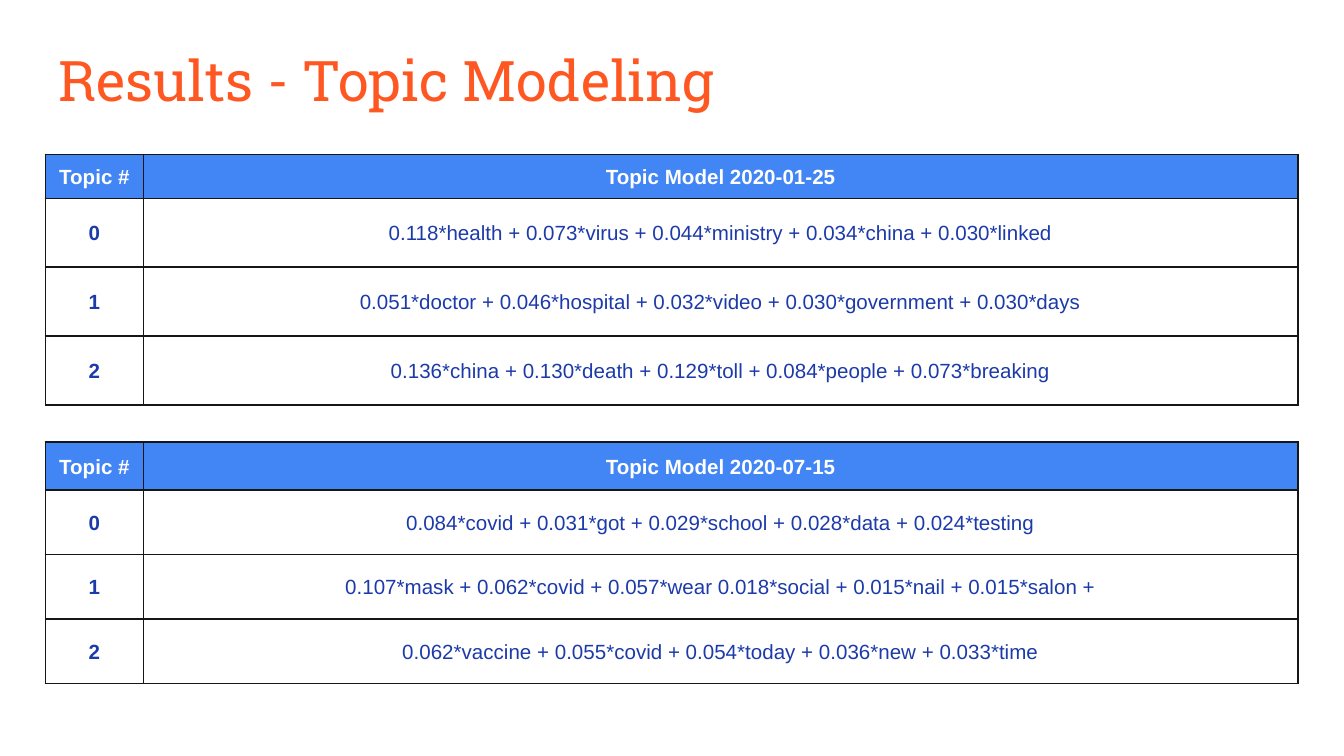
from dataclasses import dataclass

from lxml.etree import SubElement
from pptx import Presentation
from pptx.dml.color import RGBColor
from pptx.enum.text import MSO_ANCHOR as Anchor, PP_ALIGN as Align
from pptx.oxml.ns import qn
from pptx.util import Cm, Pt

ORANGE, BLUE, NAVY = "FF5722", "4285F4", "1C3AA9"
WHITE, BLACK = "FFFFFF", "161616"
LEFT, COLUMNS = 0.86, (1.85, 21.82)
WIDTH = sum(COLUMNS)


@dataclass
class TopicTable:
    date: str
    top: float
    header_height: float
    row_height: float
    topics: tuple[str, ...]


TABLES = (
    TopicTable("2020-01-25", 2.92, 0.83, 1.3, (
        "0.118*health + 0.073*virus + 0.044*ministry + 0.034*china + 0.030*linked",
        "0.051*doctor + 0.046*hospital + 0.032*video + 0.030*government + 0.030*days",
        "0.136*china + 0.130*death + 0.129*toll + 0.084*people + 0.073*breaking",
    )),
    TopicTable("2020-07-15", 8.36, 0.9, 1.22, (
        "0.084*covid + 0.031*got + 0.029*school + 0.028*data + 0.024*testing",
        "0.107*mask + 0.062*covid + 0.057*wear 0.018*social + 0.015*nail + 0.015*salon +",
        "0.062*vaccine + 0.055*covid + 0.054*today + 0.036*new + 0.033*time",
    )),
)


def paint(target, color: str) -> None:
    target.solid()
    target.fore_color.rgb = RGBColor.from_string(color)


def add_run(p, text: str, size: float, font: str, color: str, bold: bool = False) -> None:
    r = p.add_run()
    r.text = text
    r.font.size = Pt(size)
    r.font.name = font
    r.font.bold = bold
    paint(r.font.fill, color)


def add_borders(cell) -> None:
    props = cell._tc.get_or_add_tcPr()
    for side in ("lnL", "lnR", "lnT", "lnB"):
        line = SubElement(props, qn(f"a:{side}"), w=str(Pt(1)))
        fill = SubElement(line, qn("a:solidFill"))
        SubElement(fill, qn("a:srgbClr"), val=BLACK)


def fill_cell(cell, text: str, color: str, bold: bool, background: str) -> None:
    add_borders(cell)
    paint(cell.fill, background)
    cell.vertical_anchor = Anchor.MIDDLE
    cell.margin_left = cell.margin_right = Cm(0.18)
    cell.margin_top = cell.margin_bottom = 0
    p = cell.text_frame.paragraphs[0]
    p.alignment = Align.CENTER
    p.line_spacing = 1.07
    add_run(p, text, 11, "Arial", color, bold)


def add_topic_table(s, spec: TopicTable) -> None:
    rows = [("Topic #", f"Topic Model {spec.date}")]
    rows += [(str(number), words) for number, words in enumerate(spec.topics)]
    heights = [spec.header_height] + [spec.row_height] * len(spec.topics)
    table = s.shapes.add_table(len(rows), len(COLUMNS), Cm(LEFT), Cm(spec.top),
                               Cm(WIDTH), Cm(sum(heights))).table
    for column, width in zip(table.columns, COLUMNS):
        column.width = Cm(width)
    for i, (row, height) in enumerate(zip(rows, heights)):
        table.rows[i].height = Cm(height)
        header = i == 0
        for j, text in enumerate(row):
            fill_cell(table.cell(i, j), text, WHITE if header else NAVY,
                      header or j == 0, BLUE if header else WHITE)


def add_title(s, text: str) -> None:
    sp = s.shapes.add_textbox(Cm(LEFT), Cm(0.61), Cm(WIDTH), Cm(1.6))
    tf = sp.text_frame
    tf.word_wrap = True
    tf.margin_left = tf.margin_right = tf.margin_top = tf.margin_bottom = Cm(0.25)
    add_run(tf.paragraphs[0], text, 30, "Roboto Slab", ORANGE)


def main() -> None:
    prs = Presentation()
    prs.slide_width, prs.slide_height = Cm(25.4), Cm(14.29)
    s = prs.slides.add_slide(prs.slide_layouts[6])
    paint(s.background.fill, WHITE)
    for spec in TABLES:
        add_topic_table(s, spec)
    add_title(s, "Results - Topic Modeling")
    prs.save("out.pptx")


if __name__ == "__main__":
    main()
